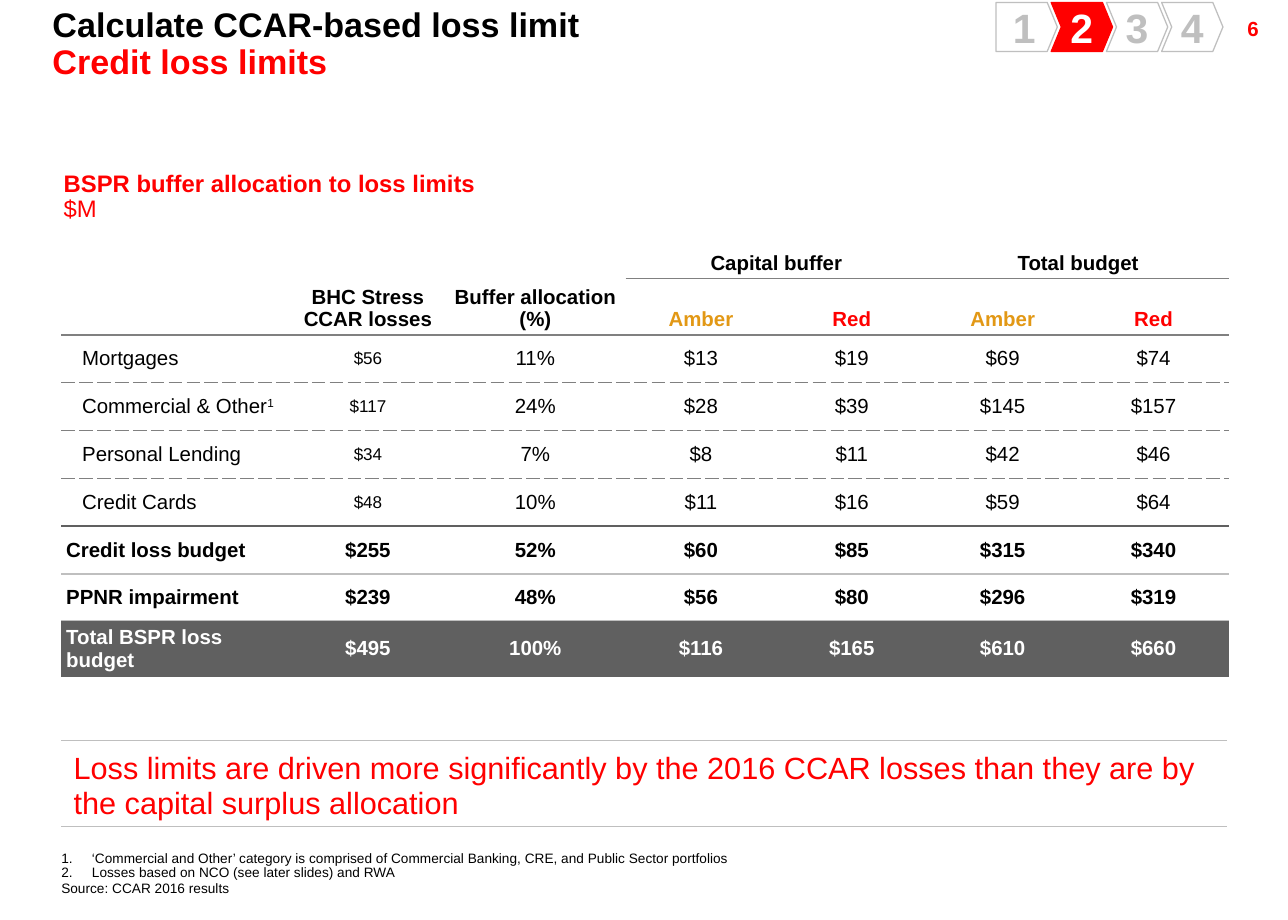
from lxml.etree import SubElement as Sub
from pptx import Presentation
from pptx.dml.color import RGBColor as Rgb
from pptx.enum.shapes import MSO_SHAPE as Shape
from pptx.enum.text import MSO_ANCHOR as Anchor, PP_ALIGN as Align
from pptx.oxml.ns import qn
from pptx.util import Inches, Pt

COLORS = {
    "black": "000000", "white": "FFFFFF", "red": "FF0000", "amber": "E29815",
    "gray": "808080", "light": "BFBFBF", "dark": "606060",
}
PLAIN = "{2D5ABB26-0587-4C30-8999-92F81FD0307C}"
WIDTHS = [1.87, 1.26, 1.47] + [1.23] * 4
HEIGHTS = [0.31, 0.45] + [0.39] * 5 + [0.38, 0.46]
EDGES = ([("gray", 1, "solid")] * 2 + [("gray", 1, "sysDash")] * 3
         + [("dark", 1, "solid")] + [("light", 1, "solid")] * 2 + [None])
ROWS = [
    ["", "BHC Stress CCAR losses", "Buffer allocation (%)",
     "Capital buffer", "", "Total budget", ""],
    ["", "", "", "Amber", "Red", "Amber", "Red"],
    ["Mortgages", "$56", "11%", "$13", "$19", "$69", "$74"],
    ["Commercial & Other^1", "$117", "24%", "$28", "$39", "$145", "$157"],
    ["Personal Lending", "$34", "7%", "$8", "$11", "$42", "$46"],
    ["Credit Cards", "$48", "10%", "$11", "$16", "$59", "$64"],
    ["Credit loss budget", "$255", "52%", "$60", "$85", "$315", "$340"],
    ["PPNR impairment", "$239", "48%", "$56", "$80", "$296", "$319"],
    ["Total BSPR loss budget", "$495", "100%", "$116", "$165", "$610", "$660"],
]
NOTES = [
    "‘Commercial and Other’ category is comprised of Commercial Banking, CRE, and Public Sector portfolios",
    "Losses based on NCO (see later slides) and RWA",
    "Source: CCAR 2016 results",
]


class Deck:
    font = "Arial"

    def __init__(self, wide, high):
        self.prs = Presentation()
        self.prs.slide_width, self.prs.slide_height = Inches(wide), Inches(high)
        self.slide = self.prs.slides.add_slide(self.prs.slide_layouts[6])

    def color(self, name):
        return Rgb.from_string(COLORS[name])

    def style(self, para, size, color="black", bold=False, align=Align.LEFT, space=None):
        para.alignment = align
        if space:
            para.line_spacing = space
        for run in para.runs:
            run.font.name, run.font.size, run.font.bold = self.font, Pt(size), bold
            run.font.color.rgb = self.color(color)

    def inset(self, item, side, top):
        item.margin_left = item.margin_right = Inches(side)
        item.margin_top = item.margin_bottom = Inches(top)

    def text(self, box, lines, size, space=0.86, align=Align.LEFT):
        frame = self.slide.shapes.add_textbox(*map(Inches, box)).text_frame
        frame.word_wrap = True
        frame.text = "\n".join(line for line, _, _ in lines)
        for para, (_, color, bold) in zip(frame.paragraphs, lines):
            self.style(para, size, color, bold, align, space)
        return frame

    def notes(self, box, lines):
        frame = self.text(box, [(line, "black", False) for line in lines], 8)
        self.inset(frame, 0, 0)
        frame.vertical_anchor = Anchor.BOTTOM
        for para in frame.paragraphs[:-1]:
            props = para._p.get_or_add_pPr()
            props.set("marL", str(Inches(0.25)))
            props.set("indent", str(-Inches(0.25)))
            Sub(props, qn("a:buAutoNum"), type="arabicPeriod")
        frame.paragraphs[-1].line_spacing = 1.0

    def step(self, kind, box, label, fill, line, ink):
        shape = self.slide.shapes.add_shape(kind, *map(Inches, box))
        shape.shadow.inherit = False
        shape.adjustments[0] = 0.206
        shape.fill.solid()
        shape.fill.fore_color.rgb = self.color(fill)
        shape.line.color.rgb = self.color(line)
        shape.line.width = Pt(0.75)
        frame = shape.text_frame
        self.inset(frame, 0, 0)
        frame.vertical_anchor = Anchor.MIDDLE
        frame.text = label
        self.style(frame.paragraphs[0], 24, ink, True, Align.CENTER)

    def edge(self, cell, side, rule):
        if rule:
            color, width, dash = rule
            line = Sub(cell._tc.get_or_add_tcPr(), qn("a:" + side), w=str(Pt(width)))
            Sub(Sub(line, qn("a:solidFill")), qn("a:srgbClr"), val=COLORS[color])
            Sub(line, qn("a:prstDash"), val=dash)

    def table(self, left, top, widths, heights):
        box = map(Inches, (left, top, sum(widths), sum(heights)))
        table = self.slide.shapes.add_table(len(heights), len(widths), *box).table
        table.first_row = table.horz_banding = False
        table._tbl.tblPr.find(qn("a:tableStyleId")).text = PLAIN
        for col, width in zip(table.columns, widths):
            col.width = Inches(width)
        for row, height in zip(table.rows, heights):
            row.height = Inches(height)
        return table

    def cell(self, cell, label, above, below, fill=None, anchor=Anchor.MIDDLE, **look):
        self.edge(cell, "lnT", above)
        self.edge(cell, "lnB", below)
        if fill:
            cell.fill.solid()
            cell.fill.fore_color.rgb = self.color(fill)
        else:
            cell.fill.background()
        cell.vertical_anchor = anchor
        base, _, mark = label.partition("^")
        para = cell.text_frame.paragraphs[0]
        para.text = base
        if mark:
            run = para.add_run()
            run.text = mark
            run.font._element.set("baseline", "30000")
        self.style(para, **look)

    def budget(self):
        table = self.table(0.5, 1.96, WIDTHS, HEIGHTS)
        for col in range(3):
            table.cell(0, col).merge(table.cell(1, col))
        for col in (3, 5):
            table.cell(0, col).merge(table.cell(0, col + 1))
        for r, row in enumerate(ROWS):
            head, item, total = r < 2, 2 <= r <= 5, r == len(ROWS) - 1
            for c, label in enumerate(row):
                cell = table.cell(r, c)
                if cell.is_spanned:
                    continue
                ink = "white" if total else "black"
                if r == 1:
                    ink = label.lower()
                self.inset(cell, 0.04, 0.03)
                self.cell(cell, label, EDGES[r - 1] if r else None, EDGES[r],
                          "dark" if total else "white",
                          Anchor.BOTTOM if head else Anchor.MIDDLE,
                          size=10 if item and c == 1 else 12, color=ink, bold=not item,
                          align=Align.CENTER if c else Align.LEFT)
                if item and c == 0:
                    props = cell.text_frame.paragraphs[0]._p.get_or_add_pPr()
                    props.set("marL", str(Inches(0.13)))

    def banner(self, label):
        rule = ("light", 0.75, "solid")
        cell = self.table(0.5, 6.04, [9.5], [0.7]).cell(0, 0)
        self.cell(cell, label, rule, rule, anchor=Anchor.BOTTOM, size=18, color="red")


def main():
    deck = Deck(10.5, 7.5)
    deck.text((9.36, 0.11, 1, 0.24), [("6", "red", True)], 12, align=Align.RIGHT)
    deck.banner("Loss limits are driven more significantly by the 2016 CCAR losses "
                "than they are by the capital surplus allocation")
    deck.notes((0.5, 6.94, 9.5, 0.37), NOTES)
    deck.budget()
    deck.text((0.33, 0.02, 7.7, 0.68), [("Calculate CCAR-based loss limit", "black", True),
                                        ("Credit loss limits", "red", True)], 20, 0.9)
    for i in range(4):
        kind = Shape.CHEVRON if i else Shape.PENTAGON
        look = ("red", "red", "white") if i == 1 else ("white", "light", "light")
        deck.step(kind, (8.12 + 0.45 * i, 0.02, 0.5, 0.4), str(i + 1), *look)
    deck.text((0.42, 1.36, 5.75, 0.51), [("BSPR buffer allocation to loss limits", "red", True),
                                         ("$M", "red", False)], 14)
    deck.prs.save("out.pptx")


if __name__ == "__main__":
    main()
